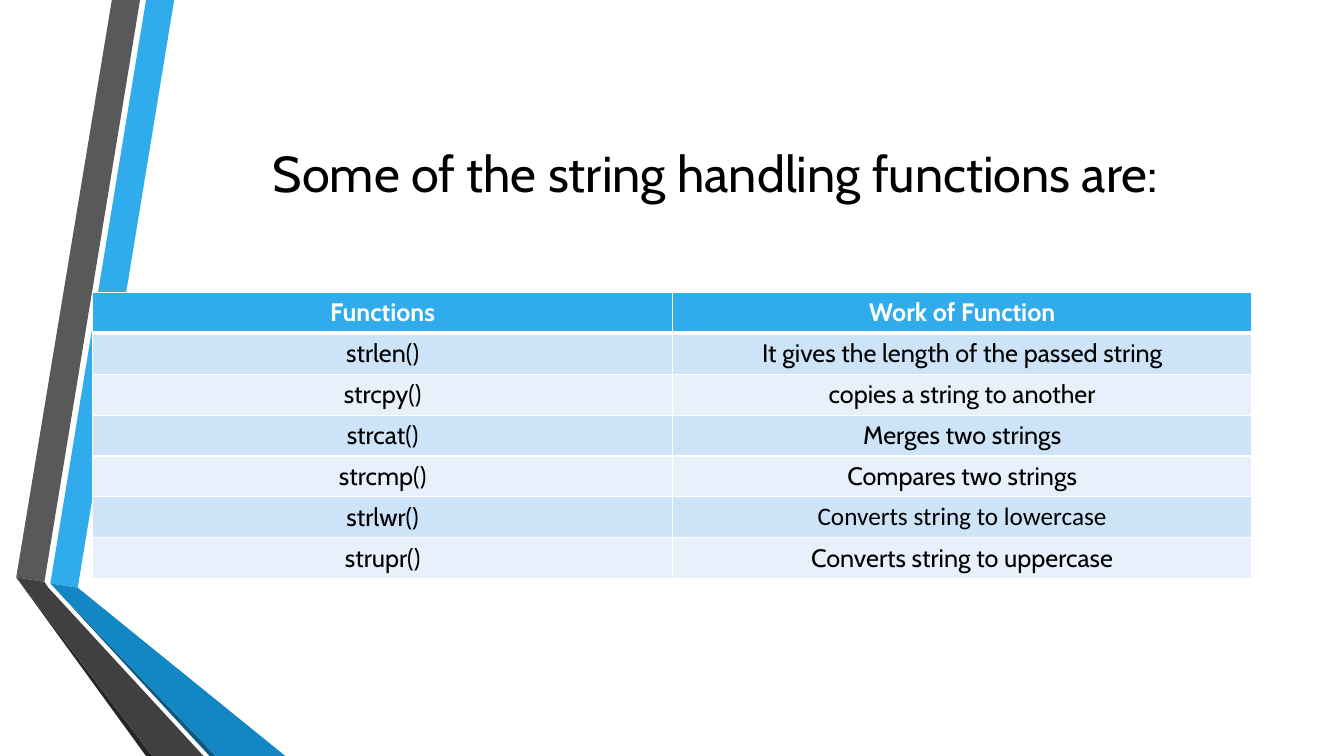
from dataclasses import dataclass

from lxml import etree
from pptx import Presentation
from pptx import util as u
from pptx.dml import color
from pptx.enum import text
from pptx.oxml import ns


@dataclass(frozen=True)
class Theme:
    font: str = "Cabin"
    alternate_font: str = "Calibri"
    title_size: int = 36
    table_size: int = 18
    ink: str = "000000"
    white: str = "FFFFFF"
    blue: str = "30ACEC"
    deep_blue: str = "1287C3"
    navy: str = "0C5A82"
    gray: str = "595959"
    dark_gray: str = "404040"
    charcoal: str = "262626"
    bands: tuple = ("CDE3F8", "E8F1FB")
    border: int = 1
    header_border: int = 3


class SlideBuilder:
    def __init__(self, slide, theme):
        self.slide = slide
        self.theme = theme

    def label(self, frame, content, size, ink, bold=False, font=None):
        paragraph = frame.paragraphs[0]
        paragraph.alignment = text.PP_ALIGN.CENTER
        run = paragraph.add_run()
        run.text = content
        values = {"name": font or self.theme.font, "size": u.Pt(size), "bold": bold}
        for name, value in values.items():
            setattr(run.font, name, value)
        run.font.color.rgb = color.RGBColor.from_string(ink)

    def title(self, content, left, top, width, height):
        shape = self.slide.shapes.title
        box = {"left": left, "top": top, "width": width, "height": height}
        for name, value in box.items():
            setattr(shape, name, u.Cm(value))
        shape.text_frame.vertical_anchor = text.MSO_ANCHOR.MIDDLE
        self.label(shape.text_frame, content, self.theme.title_size, self.theme.ink)

    def ribbon(self, points, fill):
        start, *others = [(u.Cm(x), u.Cm(y)) for x, y in points]
        builder = self.slide.shapes.build_freeform(*start)
        builder.add_line_segments(others, close=True)
        shape = builder.convert_to_shape()
        shape.shadow.inherit = False
        shape.fill.solid()
        shape.fill.fore_color.rgb = color.RGBColor.from_string(fill)
        shape.line.fill.background()

    def borders(self, cell, widths):
        properties = cell._tc.get_or_add_tcPr()
        for index, (side, width) in enumerate(widths.items()):
            line = etree.Element(ns.qn(f"a:ln{side}"), w=str(u.Pt(width)))
            fill = etree.SubElement(line, ns.qn("a:solidFill"))
            etree.SubElement(fill, ns.qn("a:srgbClr"), val=self.theme.white)
            properties.insert(index, line)

    def cell(self, cell, content, row, font):
        theme = self.theme
        header = row == 0
        cell.fill.solid()
        fill = theme.blue if header else theme.bands[(row - 1) % 2]
        cell.fill.fore_color.rgb = color.RGBColor.from_string(fill)
        ink = theme.white if header else theme.ink
        self.label(cell.text_frame, content, theme.table_size, ink, header, font)
        widths = dict.fromkeys("LRTB", theme.border)
        if row < 2:
            widths["B" if header else "T"] = theme.header_border
        self.borders(cell, widths)

    def table(self, rows, left, top, width, row_height, fonts):
        lengths = map(u.Cm, (left, top, width, row_height * len(rows)))
        table = self.slide.shapes.add_table(len(rows), len(rows[0]), *lengths).table
        for row, contents in enumerate(rows):
            table.rows[row].height = u.Cm(row_height)
            for column, content in enumerate(contents):
                self.cell(table.cell(row, column), content, row, fonts.get((row, column)))


FUNCTIONS = [
    ("Functions", "Work of Function"),
    ("strlen()", "It gives the length of the passed string"),
    ("strcpy()", "copies a string to another"),
    ("strcat()", "Merges two strings"),
    ("strcmp()", "Compares two strings"),
    ("strlwr()", "Converts string to lowercase"),
    ("strupr()", "Converts string to uppercase"),
]


def main():
    theme = Theme()
    presentation = Presentation()
    presentation.slide_width = u.Cm(33.87)
    presentation.slide_height = u.Cm(19.05)
    slide = presentation.slides.add_slide(presentation.slide_layouts[5])
    builder = SlideBuilder(slide, theme)

    bottom = 19.05
    gray_bend = (0.41, 14.55)
    blue_bend = (1.27, 14.7)
    blue_inner = (1.96, 14.81)
    ribbons = [
        ([blue_bend, blue_inner, (4.39, 0), (3.68, 0)], theme.blue),
        ([(3.53, 0), (2.82, 0), gray_bend, (1.12, 14.66)], theme.gray),
        ([gray_bend, (3.68, bottom), (3.84, bottom)], theme.charcoal),
        ([blue_bend, (5.28, bottom), (5.44, bottom)], theme.navy),
        ([blue_bend, (5.44, bottom), (7.19, bottom), blue_inner], theme.deep_blue),
        ([gray_bend, (3.84, bottom), (5.13, bottom), (1.22, 14.81), (1.12, 14.66)],
         theme.dark_gray),
    ]
    for points, fill in ribbons:
        builder.ribbon(points, fill)

    builder.title("Some of the string handling functions are:", 4.11, 1.9, 27.84, 4.88)
    builder.table(FUNCTIONS, 2.34, 7.37, 29.21, 1.03, {(5, 1): theme.alternate_font})
    presentation.save("out.pptx")


if __name__ == "__main__":
    main()
